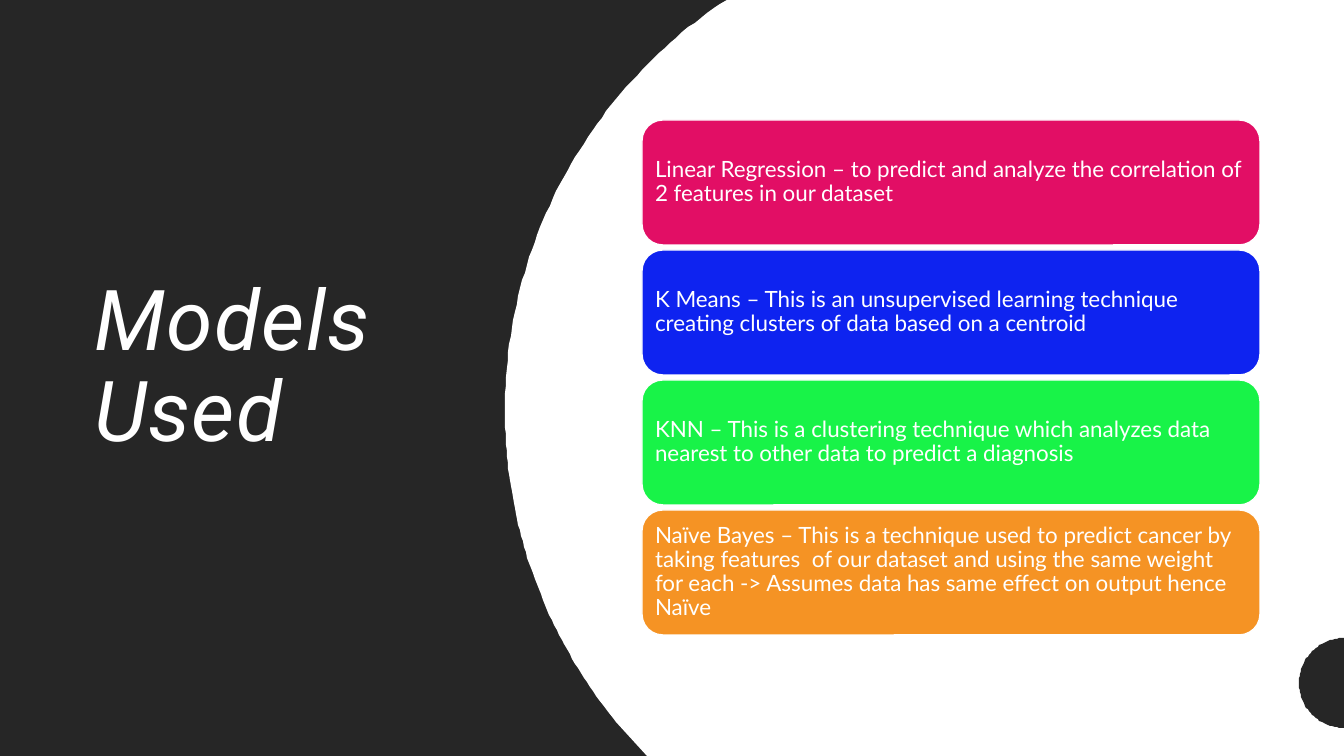
import math
from dataclasses import dataclass

from pptx import Presentation, util as u
from pptx.dml.color import RGBColor
from pptx.enum import shapes, text

PX = 914400 / 100.8  # EMU per pixel
WIDTH, HEIGHT = 1344, 756


@dataclass(frozen=True)
class Theme:
    dark: str = "262626"
    light: str = "FFFFFF"
    title_font: str = "Roboto"
    body_font: str = "Lato"
    title_size: int = 60
    body_size: int = 16


THEME = Theme()

MODELS = [
    ("E20E65", "Linear Regression – to predict and analyze the correlation of "
               "2 features in our dataset"),
    ("0E23F0", "K Means – This is an unsupervised learning technique creating "
               "clusters of data based on a centroid"),
    ("18F348", "KNN – This is a clustering technique which analyzes data nearest "
               "to other data to predict a diagnosis"),
    ("F59324", "Naïve Bayes – This is a technique used to predict cancer by taking "
               "features\u00a0 of our dataset and using the same weight for each -> "
               "Assumes data has same effect on output hence Naïve"),
]


def px(value):
    return u.Emu(round(value * PX))


def paint(sp, fill, line=None):
    sp.shadow.inherit = False
    sp.fill.solid()
    sp.fill.fore_color.rgb = RGBColor.from_string(fill)
    if line:
        sp.line.color.rgb = RGBColor.from_string(line)
        sp.line.width = u.Pt(1)
    else:
        sp.line.fill.background()


def write(tf, words, font, size, italic=False):
    tf.word_wrap = True
    tf.auto_size = text.MSO_AUTO_SIZE.NONE
    tf.vertical_anchor = text.MSO_ANCHOR.MIDDLE
    p = tf.paragraphs[0]
    p.alignment = text.PP_ALIGN.LEFT
    p.line_spacing = 0.9
    r = p.add_run()
    r.text = words
    r.font.name, r.font.size, r.font.italic = font, u.Pt(size), italic
    r.font.color.rgb = RGBColor.from_string(THEME.light)
    return r


def outline(s, points, fill):
    pen = s.shapes.build_freeform(*points[0], scale=PX)
    pen.add_line_segments(points[1:], close=True)
    paint(pen.convert_to_shape(), fill)


def bezier(a, b, c, d, steps=60):
    for i in range(steps + 1):
        t = i / steps
        k = 1 - t
        yield tuple(k**3 * e + 3 * k * k * t * f + 3 * k * t * t * g + t**3 * h
                    for e, f, g, h in zip(a, b, c, d))


def add_backdrop(s, x, y, w, h):
    sp = s.shapes.add_shape(shapes.MSO_SHAPE.RECTANGLE, px(x), px(y), px(w), px(h))
    paint(sp, THEME.dark)


def add_title(s, x, y, w, h):
    sp = s.shapes.title
    sp.left, sp.top, sp.width, sp.height = px(x), px(y), px(w), px(h)
    r = write(sp.text_frame, "Models Used", THEME.title_font, THEME.title_size, True)
    r.font._element.set("spc", "100")
    # Bring the title in front of the backdrop
    sp.element.getparent().append(sp.element)


def add_curved_panel(s, x, y, w, h):
    lower = bezier((111, 722), (42, 637), (0, 529), (0, 410))
    upper = bezier((0, 410), (0, 242), (85, 93), (215, 4))
    edge = [(x + a, y + b) for a, b in [*lower, *upper]]
    corners = [(x + 222, y), (x + w, y), (x + w, y + h), (x + 142, y + h)]
    outline(s, corners + edge, THEME.light)


def add_half_disc(s, x, y, w, h):
    angles = [math.pi * i / 60 for i in range(61)]
    outline(s, [(x + w - w * math.sin(a), y + h / 2 * (1 - math.cos(a)))
                for a in angles], THEME.dark)


def add_model_cards(s, x, y, w, h, gap=5):
    card_h = (h - gap * (len(MODELS) - 1)) / len(MODELS)
    for i, (color, words) in enumerate(MODELS):
        sp = s.shapes.add_shape(shapes.MSO_SHAPE.ROUNDED_RECTANGLE, px(x),
                                px(y + i * (card_h + gap)), px(w), px(card_h))
        paint(sp, color, THEME.light)
        tf = sp.text_frame
        # The rounded corners already inset the text by about 6 px
        tf.margin_left = tf.margin_right = tf.margin_top = tf.margin_bottom = px(7)
        write(tf, words, THEME.body_font, THEME.body_size)


def build_models_slide(prs):
    s = prs.slides.add_slide(prs.slide_layouts[5])
    # Left side
    add_backdrop(s, 0, 0, WIDTH, HEIGHT)
    add_title(s, 84, 117, 373, 503)
    # Right side
    add_curved_panel(s, 505, 0, WIDTH - 505, HEIGHT)
    add_half_disc(s, 1299, 638, 45, 90)
    add_model_cards(s, 642, 120, 618, 515)


prs = Presentation()
prs.slide_width, prs.slide_height = px(WIDTH), px(HEIGHT)
build_models_slide(prs)
prs.save("out.pptx")
